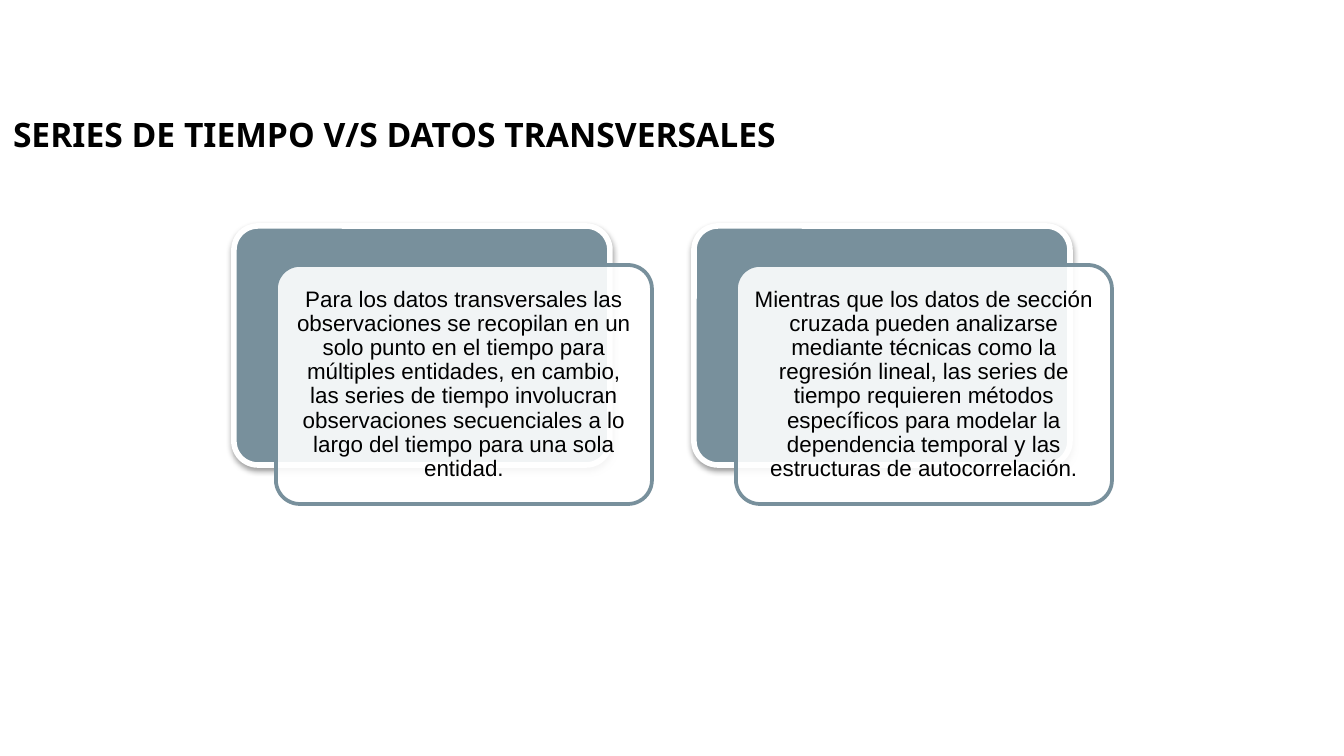
from lxml.etree import SubElement
from pptx import Presentation
from pptx.dml.color import RGBColor
from pptx.enum.shapes import MSO_SHAPE as Preset
from pptx.enum.text import MSO_ANCHOR as Anchor, MSO_AUTO_SIZE as AutoSize, PP_ALIGN as Align
from pptx.oxml.ns import qn
from pptx.util import Emu, Pt

BLACK = RGBColor(0x00, 0x00, 0x00)
WHITE = RGBColor(0xFF, 0xFF, 0xFF)
SLATE = RGBColor(0x78, 0x90, 0x9C)

PX_PER_INCH = 134.4
CARD_WIDTH, CARD_HEIGHT = 376, 239
FIRST_LEFT, TOP = 234, 226
PITCH = 460
FRONT_DX, FRONT_DY = 42, 39

TITLE = "SERIES DE TIEMPO V/S DATOS TRANSVERSALES"
COMPARISONS = [
    "Para los datos transversales las observaciones se recopilan en un solo punto "
    "en el tiempo para múltiples entidades, en cambio, las series de tiempo "
    "involucran observaciones secuenciales a lo largo del tiempo para una sola entidad.",
    "Mientras que los datos de sección cruzada pueden analizarse mediante técnicas "
    "como la regresión lineal, las series de tiempo requieren métodos específicos "
    "para modelar la dependencia temporal y las estructuras de autocorrelación.",
]


def px(length):
    return Emu(round(length * 914400 / PX_PER_INCH))


def write(shape, text, inset, align, spacing, font_name, size, bold=False):
    frame = shape.text_frame
    frame.text = text
    frame.word_wrap = True
    frame.auto_size = AutoSize.NONE
    frame.margin_left = frame.margin_right = px(inset)
    frame.margin_top = frame.margin_bottom = px(inset)
    paragraph = frame.paragraphs[0]
    paragraph.alignment = align
    paragraph.line_spacing = spacing
    paragraph.space_before = Pt(0)
    font = paragraph.runs[0].font
    font.name = font_name
    font.size = Pt(size)
    font.bold = bold
    font.color.rgb = BLACK


def add_title(slide):
    title = slide.shapes.title
    title.left, title.top, title.width, title.height = px(0), px(95), px(1245), px(74)
    write(title, TITLE, 13, Align.JUSTIFY, 1.15, "Noto Sans", 18, bold=True)
    title.text_frame.vertical_anchor = Anchor.TOP


def add_panel(slide, left, top, fill, outline, outline_width):
    panel = slide.shapes.add_shape(
        Preset.ROUNDED_RECTANGLE, px(left), px(top), px(CARD_WIDTH), px(CARD_HEIGHT))
    panel.adjustments[0] = 0.1
    panel.fill.solid()
    panel.fill.fore_color.rgb = fill
    panel.line.color.rgb = outline
    panel.line.width = Pt(outline_width)
    panel.shadow.inherit = False
    return panel


def add_alpha(color, percent):
    SubElement(color, qn("a:alpha"), val=str(percent * 1000))


def add_shadow(panel):
    effects = panel.element.spPr.find(qn("a:effectLst"))
    shadow = SubElement(effects, qn("a:outerShdw"), blurRad=str(Pt(3.1)),
                        dist=str(Pt(1.6)), dir="5400000", rotWithShape="0")
    add_alpha(SubElement(shadow, qn("a:srgbClr"), val=str(BLACK)), 38)


def add_card(slide, left, text):
    back = add_panel(slide, left, TOP, SLATE, WHITE, 3)
    add_shadow(back)
    front = add_panel(slide, left + FRONT_DX, TOP + FRONT_DY, WHITE, SLATE, 2)
    add_alpha(front.element.spPr.find(qn("a:solidFill")).find(qn("a:srgbClr")), 90)
    write(front, text, 7, Align.CENTER, 0.9, "Arial", 12)
    front.text_frame.vertical_anchor = Anchor.MIDDLE


def main():
    deck = Presentation()
    deck.slide_width, deck.slide_height = px(1344), px(756)
    slide = deck.slides.add_slide(deck.slide_layouts[5])
    add_title(slide)
    for column, text in enumerate(COMPARISONS):
        add_card(slide, FIRST_LEFT + column * PITCH, text)
    deck.save("out.pptx")


if __name__ == "__main__":
    main()
